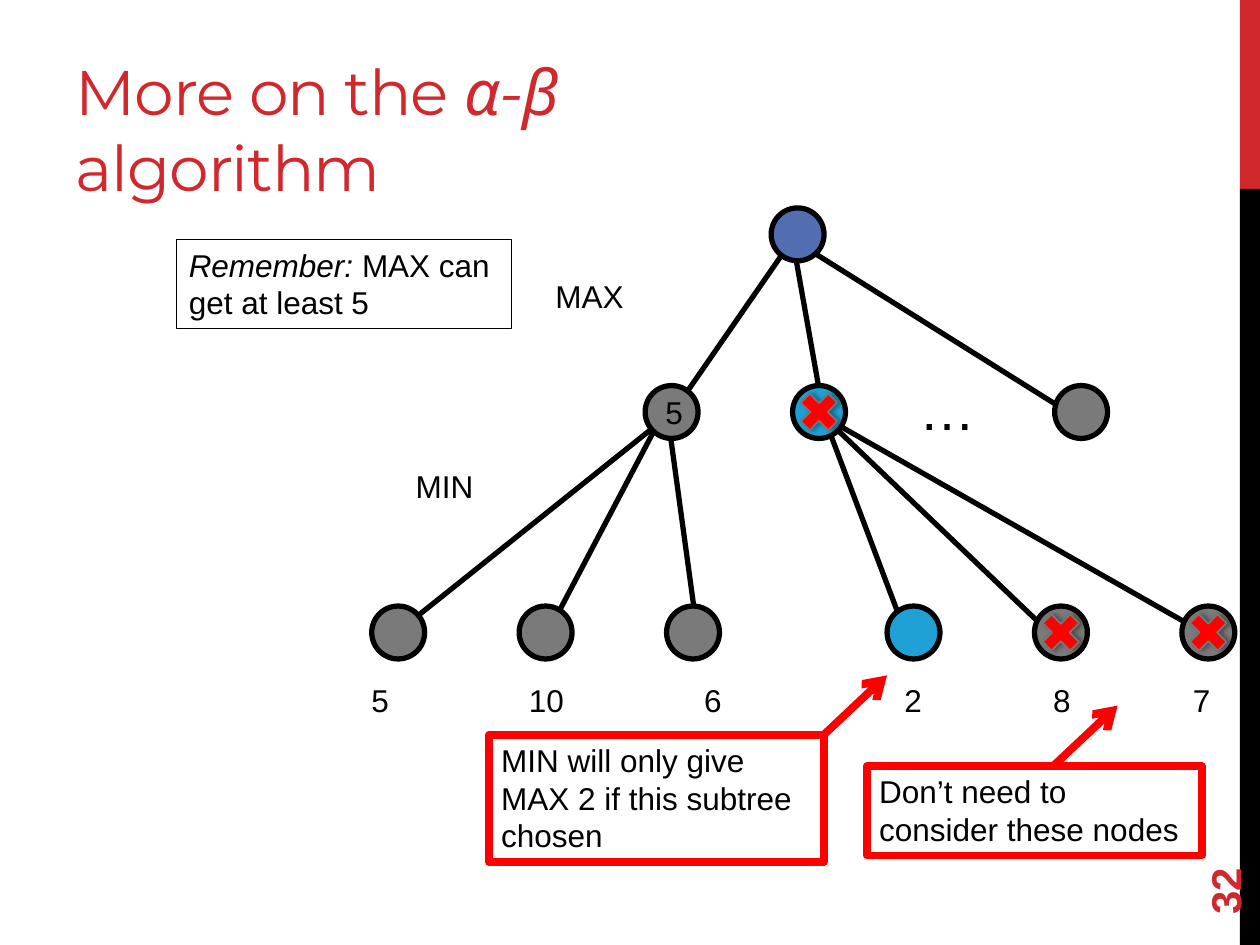
from lxml import etree
from pptx import Presentation
from pptx.dml.color import RGBColor
from pptx.enum.shapes import MSO_CONNECTOR, MSO_SHAPE
from pptx.enum.text import MSO_ANCHOR, PP_ALIGN
from pptx.oxml.ns import qn
from pptx.util import Inches, Pt

RECTANGLE = MSO_SHAPE.RECTANGLE
OVAL = MSO_SHAPE.OVAL
CROSS = MSO_SHAPE.MATH_MULTIPLY
STRAIGHT = MSO_CONNECTOR.STRAIGHT
TOP, MIDDLE, BOTTOM = MSO_ANCHOR.TOP, MSO_ANCHOR.MIDDLE, MSO_ANCHOR.BOTTOM
LEFT, CENTER = PP_ALIGN.LEFT, PP_ALIGN.CENTER

COLORS = {
    "crimson": "D1282E",
    "black": "000000",
    "red": "FF0000",
    "indigo": "526DB0",
    "gray": "7A7A7A",
    "blue": "1FA1D6",
    "outline": "777777",
}
NODE_SIZE = 0.42
LEAF_STEP = 1.17
MIN_TOP, LEAF_TOP = 3.06, 4.81
LEFT_LEAVES = [2.95 + LEAF_STEP * index for index in range(3)]
RIGHT_LEAVES = [7.04 + LEAF_STEP * index for index in range(3)]
ROOT, LEFT_MIN, RIGHT_MIN = (6.29, 1.9), (5.29, 3.23), (6.54, 3.31)
EDGES = [
    (ROOT, (5.37, 3.23)), (ROOT, RIGHT_MIN), (ROOT, (8.54, 3.31)),
    ((5.29, 3.31), (3.2, 4.98)), (LEFT_MIN, (4.37, 4.98)), (LEFT_MIN, (5.54, 5.06)),
    (RIGHT_MIN, (7.2, 5.06)), (RIGHT_MIN, (8.37, 5.06)), (RIGHT_MIN, (9.62, 5.06)),
]
NODES = [
    (6.12, 1.65, "indigo", ""),
    (5.12, MIN_TOP, "gray", "5"),
    (6.29, MIN_TOP, "blue", ""),
    (8.37, MIN_TOP, "gray", ""),
    *[(left, LEAF_TOP, "gray", "") for left in LEFT_LEAVES],
    (RIGHT_LEAVES[0], LEAF_TOP, "blue", ""),
    *[(left, LEAF_TOP, "gray", "") for left in RIGHT_LEAVES[1:]],
]
PRUNED = [(6.29, MIN_TOP), *[(left, LEAF_TOP) for left in RIGHT_LEAVES[1:]]]
LEAF_VALUES = ["5", "10", "6", "2", "8", "7"]
LEAF_TABS = [1.25, 2.64, 4.23, 5.41, 6.52]


class SlideBuilder:
    """Holds the text style and the current slide, and draws each kind of element."""

    text_style = {"name": "Arial", "size": Pt(18), "bold": False, "italic": False}

    def __init__(self, slide):
        self.slide = slide

    def color(self, name):
        return RGBColor.from_string(COLORS[name])

    def fill_text(self, shape, runs, color="black", anchor=TOP, align=LEFT, tabs=(), **changes):
        frame = shape.text_frame
        frame.word_wrap = True
        frame.vertical_anchor = anchor
        paragraph = frame.paragraphs[0]
        paragraph.alignment = align
        if tabs:
            tab_list = etree.SubElement(paragraph._p.get_or_add_pPr(), qn("a:tabLst"))
            for position in tabs:
                etree.SubElement(tab_list, qn("a:tab"), pos=str(Inches(position)), algn="l")
        for text, italic in runs:
            run = paragraph.add_run()
            run.text = text
            for key, value in {**self.text_style, **changes, "italic": italic}.items():
                setattr(run.font, key, value)
            run.font.color.rgb = self.color(color)

    def title(self, box, runs):
        title = self.slide.shapes.title
        for key, value in zip(("left", "top", "width", "height"), box):
            setattr(title, key, Inches(value))
        self.fill_text(title, runs, "crimson", BOTTOM, name="Montserrat", size=Pt(36))
        for run in title.text_frame.paragraphs[0].runs:
            run.font._element.set("spc", "-60")

    def text(self, box, text, rotation=0, **style):
        shape = self.slide.shapes.add_textbox(*map(Inches, box))
        shape.rotation = rotation
        self.fill_text(shape, [(text, False)], **style)

    def shape(self, kind, box, fill=None, line=None, width=3):
        shape = self.slide.shapes.add_shape(kind, *map(Inches, box))
        shape.shadow.inherit = False
        if fill:
            shape.fill.solid()
            shape.fill.fore_color.rgb = self.color(fill)
        else:
            shape.fill.background()
        if line:
            shape.line.color.rgb = self.color(line)
            shape.line.width = Pt(width)
        else:
            shape.line.fill.background()
        return shape

    def node(self, left, top, fill, label):
        node = self.shape(OVAL, (left, top, NODE_SIZE, NODE_SIZE), fill, "black")
        if label:
            self.fill_text(node, [(label, False)], anchor=MIDDLE, align=CENTER)

    def cross(self, left, top):
        cross = self.shape(CROSS, (left, top, NODE_SIZE, NODE_SIZE), "red", "outline", 1)
        effects = cross._element.spPr.find(qn("a:effectLst"))
        shadow = etree.SubElement(effects, qn("a:outerShdw"), blurRad=str(Pt(3.1)),
                                  dist=str(Pt(1.8)), dir="0", rotWithShape="0")
        shade = etree.SubElement(shadow, qn("a:srgbClr"), val=COLORS["black"])
        etree.SubElement(shade, qn("a:alpha"), val="40000")

    def callout(self, box, runs, line="red", width=4.5):
        self.fill_text(self.shape(RECTANGLE, box, line=line, width=width), runs)

    def line(self, start, end, color="black", width=3, arrow=False):
        connector = self.slide.shapes.add_connector(STRAIGHT, *map(Inches, (*start, *end)))
        connector.line.color.rgb = self.color(color)
        connector.line.width = Pt(width)
        if arrow:
            outline = connector._element.spPr.find(qn("a:ln"))
            etree.SubElement(outline, qn("a:tailEnd"), type="arrow")
        etree.SubElement(connector._element.spPr, qn("a:effectLst"))


def main():
    presentation = Presentation()
    presentation.slide_width, presentation.slide_height = Inches(10), Inches(7.5)
    builder = SlideBuilder(presentation.slides.add_slide(presentation.slide_layouts[5]))

    builder.shape(RECTANGLE, (9.84, 0, 0.16, 1.5), "crimson")
    builder.shape(RECTANGLE, (9.84, 1.5, 0.16, 6), "black")
    builder.text((9, 6.44, 1.44, 0.4), "32", 270, color="crimson", anchor=MIDDLE,
                 size=Pt(24), bold=True)
    builder.title((0.5, 0.17, 6.33, 1.5),
                  [("More on the ", False), ("α-β", True), (" algorithm", False)])
    builder.text((7.2, 2.92, 0.65, 0.63), "…", size=Pt(32))
    builder.text((4.31, 2.15, 0.98, 0.5), "MAX")
    builder.text((3.2, 3.66, 0.85, 0.5), "MIN")

    for start, end in EDGES:
        builder.line(start, end)
    for node in NODES:
        builder.node(*node)
    builder.text((2.85, 5.36, 6.94, 0.4), "\t".join(LEAF_VALUES), tabs=LEAF_TABS)

    builder.callout((1.4, 1.9, 2.66, 0.71),
                    [("Remember: ", True), ("MAX can get at least 5", False)], "black", 0.75)
    builder.callout((3.88, 5.83, 2.66, 1.01),
                    [("MIN will only give MAX 2 if this subtree chosen", False)])
    builder.line((6.54, 5.83), (7.04, 5.36), "red", 4.5, arrow=True)
    for left, top in PRUNED:
        builder.cross(left, top)
    builder.callout((6.88, 6.08, 2.66, 0.71), [("Don’t need to consider these nodes", False)])
    builder.line((8.37, 6.07), (8.87, 5.6), "red", 4.5, arrow=True)

    presentation.save("out.pptx")


if __name__ == "__main__":
    main()
